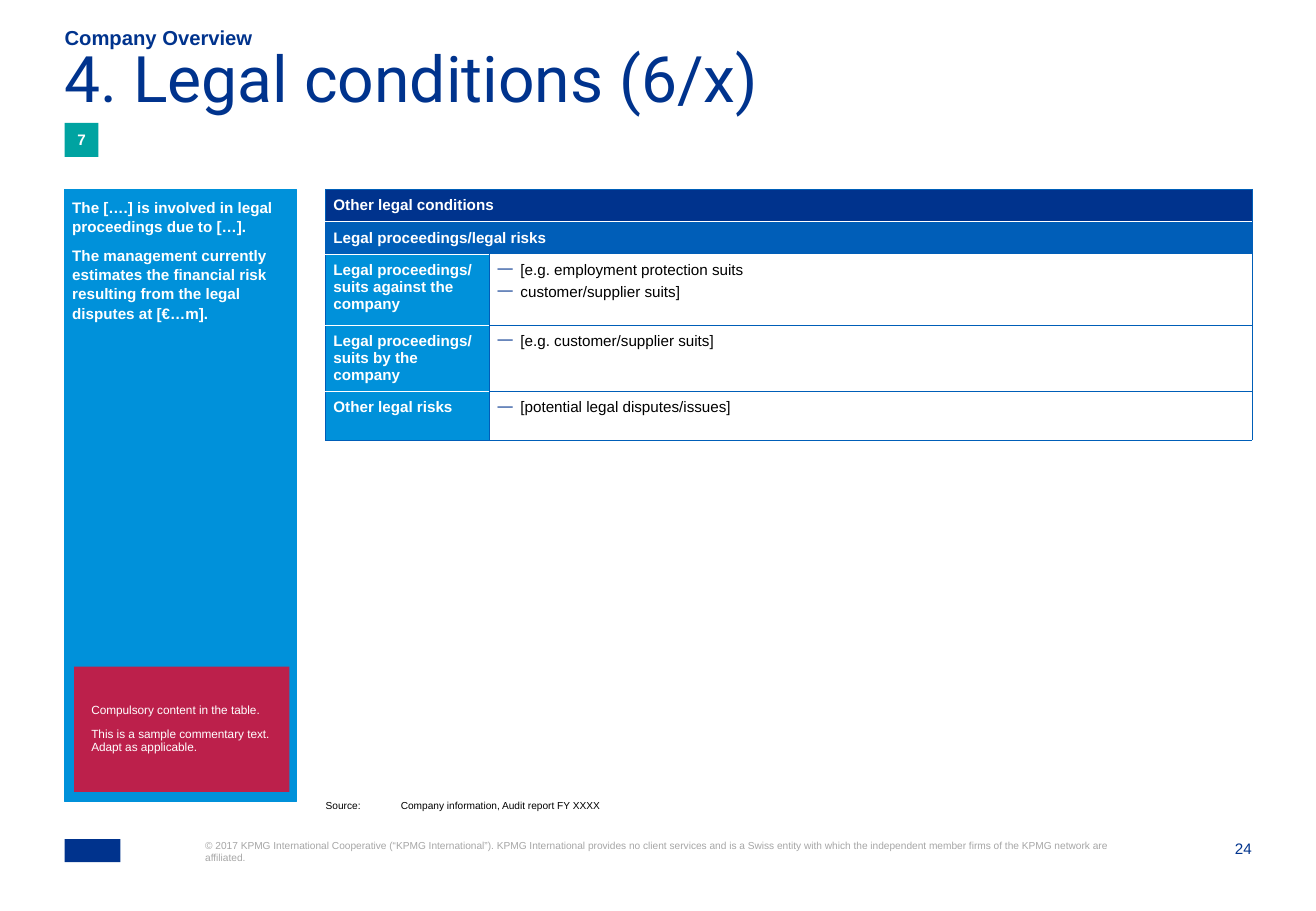
from lxml import etree
from pptx import Presentation
from pptx.dml.color import RGBColor
from pptx.enum.shapes import MSO_SHAPE
from pptx.enum.text import MSO_ANCHOR, MSO_AUTO_SIZE, PP_ALIGN
from pptx.oxml.ns import qn
from pptx.util import Cm, Pt

RECTANGLE = MSO_SHAPE.RECTANGLE
TOP, MIDDLE, BOTTOM = MSO_ANCHOR.TOP, MSO_ANCHOR.MIDDLE, MSO_ANCHOR.BOTTOM
LEFT, CENTER, RIGHT = PP_ALIGN.LEFT, PP_ALIGN.CENTER, PP_ALIGN.RIGHT
NO_AUTOFIT = MSO_AUTO_SIZE.NONE

COLOURS = {
    "navy": "00338D",
    "blue": "005EB8",
    "light_blue": "0091DA",
    "teal": "00A3A1",
    "raspberry": "BC204B",
    "grey": "A6A6A6",
    "white": "FFFFFF",
    "black": "000000",
}
INSET = 0.16
LAST_ROW = 4

COMMENTARY = [
    "The [….] is involved in legal proceedings due to […].",
    "The management currently estimates the financial risk resulting from "
    "the legal disputes at [€…m].",
]
COPYRIGHT = (
    "© 2017 KPMG International Cooperative (“KPMG International”). KPMG "
    "International provides no client services and is a Swiss entity with which "
    "the independent member firms of the KPMG network are affiliated."
)
HEADINGS = [
    ("Other legal conditions", "navy", MIDDLE),
    ("Legal proceedings/legal risks", "blue", BOTTOM),
]
CONDITIONS = [
    (["Legal proceedings/", "suits against the company"],
     ["[e.g. employment protection suits", "customer/supplier suits]"]),
    (["Legal proceedings/", "suits by the company"],
     ["[e.g. customer/supplier suits]"]),
    (["Other legal risks"], ["[potential legal disputes/issues]"]),
]
ROW_HEIGHTS = [0.66, 0.65, 1.48, 1.36, 1.02]


def colour(name):
    return RGBColor.from_string(COLOURS[name])


def place(item, left, top, width, height):
    item.left, item.top = Cm(left), Cm(top)
    item.width, item.height = Cm(width), Cm(height)


def set_frame(frame, anchor=TOP, inset=0.0):
    frame.word_wrap = True
    frame.auto_size = NO_AUTOFIT
    frame.vertical_anchor = anchor
    frame.margin_left = frame.margin_right = Cm(inset)
    frame.margin_top = frame.margin_bottom = Cm(inset)


def add_span(para, text, size, ink, bold=False, font="Arial"):
    span = para.add_run()
    span.text = text
    span.font.name = font
    span.font.size = Pt(size)
    span.font.bold = bold
    span.font.color.rgb = colour(ink)


def write(frame, texts, size, ink, bold=False, font="Arial", align=LEFT,
          spacing=1.0, after=0):
    for index, text in enumerate(texts):
        para = frame.paragraphs[0] if index == 0 else frame.add_paragraph()
        para.alignment = align
        para.line_spacing = spacing
        para.space_before = Pt(0)
        para.space_after = Pt(after)
        add_span(para, text, size, ink, bold, font)


def add_text(page, position, text, size, ink, align=LEFT, spacing=1.0):
    box = page.shapes.add_textbox(*map(Cm, position))
    set_frame(box.text_frame)
    write(box.text_frame, [text], size, ink, align=align, spacing=spacing)
    return box


def add_block(page, position, fill):
    block = page.shapes.add_shape(RECTANGLE, *map(Cm, position))
    block.shadow.inherit = False
    block.fill.solid()
    block.fill.fore_color.rgb = colour(fill)
    block.line.fill.background()
    set_frame(block.text_frame, MIDDLE, INSET)
    return block


def hang(para, distance):
    properties = para._p.get_or_add_pPr()
    properties.set("marL", str(Cm(distance)))
    properties.set("indent", str(-Cm(distance)))
    return properties


def add_dash(para):
    properties = hang(para, 0.48)
    tint = etree.SubElement(properties, qn("a:buClr"))
    etree.SubElement(tint, qn("a:srgbClr"), val=COLOURS["navy"])
    etree.SubElement(properties, qn("a:buChar"), char="—")


def set_borders(cell, row, column):
    open_side = column == 1
    top = "blue" if row == 0 or (open_side and row > 2) else "white"
    bottom = "blue" if row == LAST_ROW or (open_side and row >= 2) else "white"
    sides = {"a:lnL": "blue", "a:lnR": "blue", "a:lnT": top, "a:lnB": bottom}
    properties = cell._tc.get_or_add_tcPr()
    for side, ink in sides.items():
        line = etree.SubElement(properties, qn(side), w=str(Pt(0.5)))
        fill = etree.SubElement(line, qn("a:solidFill"))
        etree.SubElement(fill, qn("a:srgbClr"), val=COLOURS[ink])


def format_cell(cell, row, column, fill, anchor=TOP):
    set_borders(cell, row, column)
    cell.fill.solid()
    cell.fill.fore_color.rgb = colour(fill)
    cell.vertical_anchor = anchor
    cell.margin_left = cell.margin_right = Cm(INSET)
    cell.margin_top = cell.margin_bottom = Cm(INSET)


def add_conditions_table(page):
    table = page.shapes.add_table(
        len(ROW_HEIGHTS), 2, Cm(6.81), Cm(3.96), Cm(19.36), Cm(sum(ROW_HEIGHTS))
    ).table
    table.first_row = table.horz_banding = False
    for column, width in zip(table.columns, [3.43, 15.93]):
        column.width = Cm(width)
    for row, height in zip(table.rows, ROW_HEIGHTS):
        row.height = Cm(height)

    for row, (heading, fill, anchor) in enumerate(HEADINGS):
        for column in range(2):
            format_cell(table.cell(row, column), row, 0, fill, anchor)
        table.cell(row, 0).merge(table.cell(row, 1))
        write(table.cell(row, 0).text_frame, [heading], 9, "white", bold=True)

    for row, (label, items) in enumerate(CONDITIONS, start=len(HEADINGS)):
        name, details = table.cell(row, 0), table.cell(row, 1)
        format_cell(name, row, 0, "light_blue")
        format_cell(details, row, 1, "white")
        para = name.text_frame.paragraphs[0]
        for index, part in enumerate(label):
            if index:
                para.add_line_break()
            add_span(para, part, 9, "white", bold=True)
        write(details.text_frame, items, 9, "black")
        for index, para in enumerate(details.text_frame.paragraphs):
            add_dash(para)
            para.space_before = Pt(3 if index else 0)


def fill_placeholders(page):
    slots = {slot.placeholder_format.idx: slot for slot in page.placeholders}
    title, section, commentary = slots[0], slots[1], slots[3]
    for index in (2, 4):
        slots[index].element.getparent().remove(slots[index].element)

    place(commentary, 1.35, 3.96, 4.85, 12.8)
    commentary.fill.solid()
    commentary.fill.fore_color.rgb = colour("light_blue")
    commentary.line.color.rgb = colour("light_blue")
    commentary.line.width = Pt(0.75)
    set_frame(commentary.text_frame, TOP, INSET)
    write(commentary.text_frame, COMMENTARY, 9, "white", bold=True,
          spacing=1.05, after=6)

    place(title, 1.35, 1.24, 24.77, 2.01)
    set_frame(title.text_frame)
    write(title.text_frame, ["4. Legal conditions (6/x)"], 38, "navy",
          font="Roboto", spacing=0.7)

    place(section, 1.35, 0.56, 23.88, 0.48)
    set_frame(section.text_frame, BOTTOM)
    write(section.text_frame, ["Company Overview"], 12, "navy", bold=True)


def main():
    deck = Presentation()
    deck.slide_width, deck.slide_height = Cm(27.51), Cm(19.05)
    page = deck.slides.add_slide(deck.slide_layouts[4])

    fill_placeholders(page)
    add_block(page, (1.35, 17.55, 1.17, 0.48), "navy")
    add_text(page, (25.07, 17.55, 1.1, 0.41), "24", 9, "navy", align=RIGHT)
    add_text(page, (4.29, 17.55, 19.02, 1.04), COPYRIGHT, 6, "grey")

    number = add_block(page, (1.35, 2.57, 0.71, 0.71), "teal")
    write(number.text_frame, ["7"], 9, "white", bold=True, align=CENTER)

    hint = add_block(page, (1.55, 13.94, 4.5, 2.62), "raspberry")
    hint.text_frame.margin_left = Cm(0.36)
    write(hint.text_frame,
          ["Compulsory content in the table.",
           "This is a sample commentary text.",
           "Adapt as applicable."], 7, "white", spacing=0.9)
    hint.text_frame.paragraphs[1].space_before = Pt(7)

    add_conditions_table(page)
    source = add_text(page, (6.81, 16.74, 10.16, 0.23),
                      "Source:\tCompany information, Audit report FY XXXX",
                      6, "black", spacing=0.9)
    hang(source.text_frame.paragraphs[0], 1.57)

    deck.save("out.pptx")


if __name__ == "__main__":
    main()
